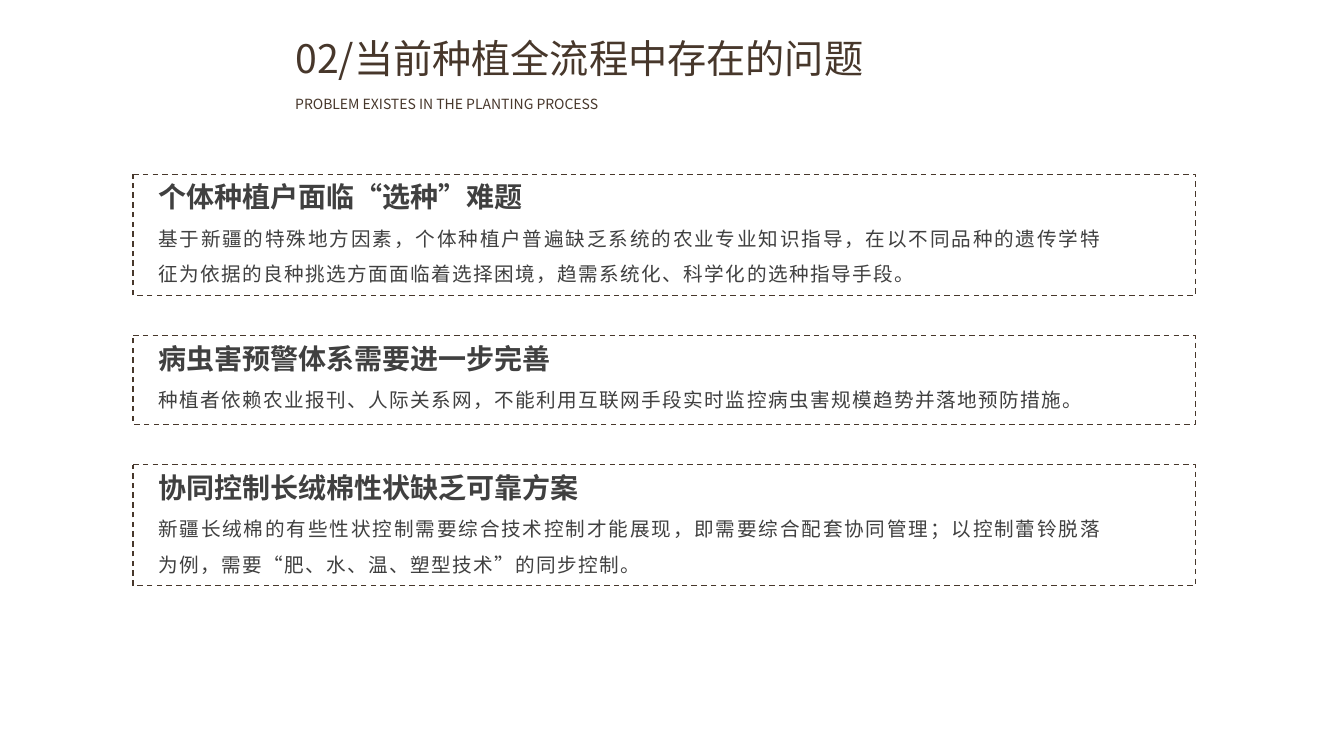
from lxml import etree
from pptx import Presentation
from pptx.dml.color import RGBColor
from pptx.enum.dml import MSO_LINE
from pptx.enum.shapes import MSO_SHAPE
from pptx.enum.text import MSO_ANCHOR, MSO_AUTO_SIZE, PP_ALIGN
from pptx.oxml.ns import qn
from pptx.util import Inches, Pt

DASH = MSO_LINE.DASH
ROUNDED = MSO_SHAPE.ROUNDED_RECTANGLE
MIDDLE = MSO_ANCHOR.MIDDLE
GROW = MSO_AUTO_SIZE.SHAPE_TO_FIT_TEXT
JUSTIFY = PP_ALIGN.JUSTIFY

BROWN = RGBColor(0x47, 0x37, 0x2B)
GREY = RGBColor(0x40, 0x40, 0x40)
FONT = "Noto Sans CJK SC"

TITLE = {"size": Pt(28), "bold": False}
SUBTITLE = {"size": Pt(10), "bold": False}
HEADING = {"size": Pt(20), "bold": True}
BODY = {"size": Pt(14), "bold": False}

HEADER_LEFT, HEADER_WIDTH = 2.83, 7.67
CARD_LEFT, CARD_WIDTH, CARD_GAP = 1.32, 10.54, 0.4
TEXT_LEFT, TEXT_WIDTH = 1.47, 9.56
HEADING_HEIGHT, BODY_OFFSET = 0.44, 0.37
LINE_HEIGHT = 0.35

CARDS = [
    ("个体种植户面临“选种”难题", 4.16, 2, 1.2,
     "基于新疆的特殊地方因素，个体种植户普遍缺乏系统的农业专业知识指导，在以不同品种的遗传学特"
     "征为依据的良种挑选方面面临着选择困境，趋需系统化、科学化的选种指导手段。"),
    ("病虫害预警体系需要进一步完善", 5.2, 1, 0.88,
     "种植者依赖农业报刊、人际关系网，不能利用互联网手段实时监控病虫害规模趋势并落地预防措施。"),
    ("协同控制长绒棉性状缺乏可靠方案", 5.6, 2, 1.2,
     "新疆长绒棉的有些性状控制需要综合技术控制才能展现，即需要综合配套协同管理；以控制蕾铃脱落"
     "为例，需要“肥、水、温、塑型技术”的同步控制。"),
]


def write(box, text, style, color, line_spacing=1.0, tracking=0):
    frame = box.text_frame
    frame.word_wrap = True
    frame.auto_size = GROW
    frame.vertical_anchor = MIDDLE
    paragraph = frame.paragraphs[0]
    paragraph.alignment = JUSTIFY
    paragraph.line_spacing = line_spacing
    run = paragraph.add_run()
    run.text = text
    for name, value in style.items():
        setattr(run.font, name, value)
    run.font.color.rgb = color
    run.font.name = FONT
    properties = run._r.get_or_add_rPr()
    properties.set("spc", str(tracking))
    etree.SubElement(properties, qn("a:ea")).set("typeface", FONT)


presentation = Presentation()
presentation.slide_width = Inches(13.33)
presentation.slide_height = Inches(7.5)
slide = presentation.slides.add_slide(presentation.slide_layouts[5])

title = slide.shapes.title
title.left, title.top = Inches(HEADER_LEFT), Inches(0.29)
title.width, title.height = Inches(HEADER_WIDTH), Inches(0.57)
write(title, "02/当前种植全流程中存在的问题", TITLE, BROWN)

subtitle = slide.shapes.add_textbox(
    Inches(HEADER_LEFT), Inches(0.9), Inches(HEADER_WIDTH), Inches(0.27))
write(subtitle, "PROBLEM EXISTES IN THE PLANTING PROCESS", SUBTITLE, BROWN)

top = 1.73
for heading_text, heading_width, lines, card_height, body_text in CARDS:
    card = slide.shapes.add_group_shape().shapes

    body = card.add_textbox(
        Inches(TEXT_LEFT), Inches(top + BODY_OFFSET),
        Inches(TEXT_WIDTH), Inches(0.07 + lines * LINE_HEIGHT))
    write(body, body_text, BODY, GREY, 1.5, 100)

    heading = card.add_textbox(
        Inches(TEXT_LEFT), Inches(top),
        Inches(heading_width), Inches(HEADING_HEIGHT))
    write(heading, heading_text, HEADING, GREY)

    border = card.add_shape(
        ROUNDED, Inches(CARD_LEFT), Inches(top),
        Inches(CARD_WIDTH), Inches(card_height))
    border.adjustments[0] = 0
    border.shadow.inherit = False
    border.fill.background()
    border.line.color.rgb = BROWN
    border.line.width = Pt(1)
    border.line.dash_style = DASH

    top += card_height + CARD_GAP

presentation.save("out.pptx")
